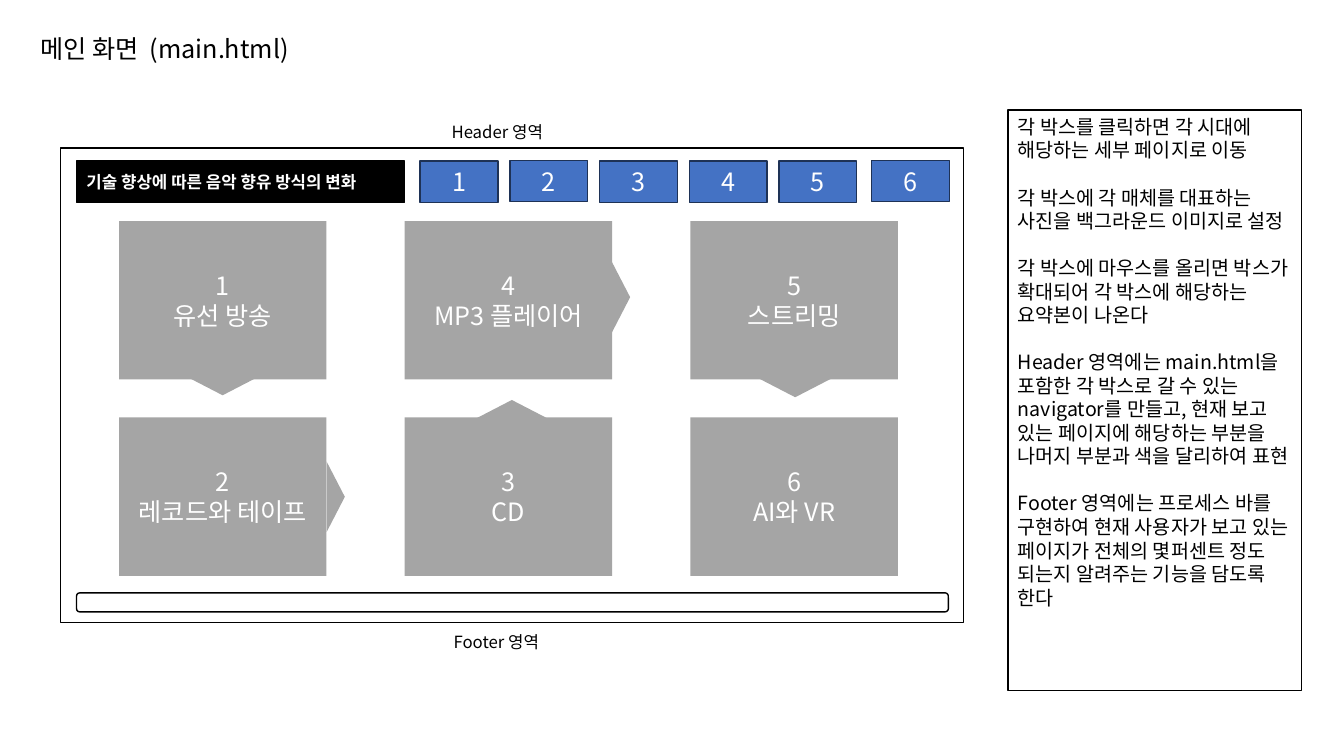
from pptx import Presentation
from pptx.dml.color import RGBColor
from pptx.enum.shapes import MSO_SHAPE as Shape
from pptx.enum.text import MSO_ANCHOR as Anchor, PP_ALIGN as Align
from pptx.oxml.ns import qn
from pptx.util import Cm, Pt
from lxml import etree

FONT = "Noto Sans CJK KR"
COLORS = {"black": "000000", "white": "FFFFFF", "gray": "A5A5A5",
          "blue": "4472C4", "navy": "1E3256"}

deck = Presentation()
deck.slide_width, deck.slide_height = Cm(33.87), Cm(19.05)
page = deck.slides.add_slide(deck.slide_layouts[6])


def add_box(kind, left, top, width, height, fill, line=None):
    box = page.shapes.add_shape(kind, Cm(left), Cm(top), Cm(width), Cm(height))
    box.shadow.inherit = False
    box.fill.solid()
    box.fill.fore_color.rgb = RGBColor.from_string(COLORS[fill])
    if line:
        box.line.color.rgb = RGBColor.from_string(COLORS[line])
        box.line.width = Pt(1)
    else:
        box.line.fill.background()
    return box


def write(box, lines, size, color, align=Align.LEFT, anchor=Anchor.MIDDLE, bold=False, gap=0):
    frame = box.text_frame
    frame.word_wrap = True
    frame.vertical_anchor = anchor
    for index, line in enumerate(lines):
        para = frame.paragraphs[0] if index == 0 else frame.add_paragraph()
        para.alignment = align
        para.space_after = Pt(gap)
        span = para.add_run()
        span.text = line
        span.font.size = Pt(size)
        span.font.bold = bold
        span.font.name = FONT
        span.font.color.rgb = RGBColor.from_string(COLORS[color])
        east_asian = etree.SubElement(span.font._element, qn("a:ea"))
        east_asian.set("typeface", FONT)


add_box(Shape.RECTANGLE, 1.52, 3.73, 22.76, 11.96, "white", "black")

labels = [
    ("메인 화면  (main.html)", 0.76, 0.71, 19.58, 1.02, 18),
    ("Header 영역", 11.13, 2.95, 3.38, 0.76, 12),
    ("Footer 영역", 11.18, 15.8, 3.38, 0.76, 12),
]
for text, left, top, width, height, size in labels:
    label = page.shapes.add_textbox(Cm(left), Cm(top), Cm(width), Cm(height))
    write(label, [text], size, "black", anchor=Anchor.TOP)

eras = [
    ["1", "유선 방송", 0, 0],
    ["2", "레코드와 테이프", 0, 1],
    ["3", "CD", 1, 1],
    ["4", "MP3 플레이어", 1, 0],
    ["5", "스트리밍", 2, 0],
    ["6", "AI와 VR", 2, 1],
]
for number, name, column, row in eras:
    era = add_box(Shape.RECTANGLE, 3 + 7.2 * column, 5.57 + 4.95 * row, 5.23, 3.99, "gray")
    write(era, [number, name], 18, "white", Align.CENTER)

pointers = [(4.72, 9.5, 180), (7.57, 12.29, 90), (12.01, 10.08, 0),
            (14.76, 7.26, 90), (19.15, 9.55, 180)]
for left, top, angle in pointers:
    pointer = add_box(Shape.ISOSCELES_TRIANGLE, left, top, 1.78, 0.46, "gray")
    pointer.rotation = angle

notes = [
    "각 박스를 클릭하면 각 시대에 해당하는 세부 페이지로 이동",
    "각 박스에 각 매체를 대표하는 사진을 백그라운드 이미지로 설정",
    "각 박스에 마우스를 올리면 박스가 확대되어 각 박스에 해당하는 요약본이 나온다",
    "Header 영역에는 main.html을 포함한 각 박스로 갈 수 있는 navigator를 만들고, "
    "현재 보고 있는 페이지에 해당하는 부분을 나머지 부분과 색을 달리하여 표현",
    "Footer 영역에는 프로세스 바를 구현하여 현재 사용자가 보고 있는 페이지가 "
    "전체의 몇퍼센트 정도 되는지 알려주는 기능을 담도록 한다",
]
panel = add_box(Shape.RECTANGLE, 25.4, 2.77, 7.4, 14.63, "white", "black")
write(panel, notes, 14, "black", anchor=Anchor.TOP, gap=16.8)

banner = add_box(Shape.RECTANGLE, 1.93, 4.06, 8.26, 1.04, "black", "black")
write(banner, ["기술 향상에 따른 음악 향유 방식의 변화"], 12, "white", bold=True)

tabs = [(10.59, 4.06), (12.85, 4.04), (15.11, 4.06), (17.37, 4.06), (19.63, 4.06), (21.97, 4.04)]
for number, (left, top) in enumerate(tabs, 1):
    tab = add_box(Shape.RECTANGLE, left, top, 1.96, 1.04, "blue", "navy")
    write(tab, [str(number)], 18, "white", Align.CENTER)

add_box(Shape.ROUNDED_RECTANGLE, 1.93, 14.94, 21.97, 0.48, "white", "black")

deck.save("out.pptx")
